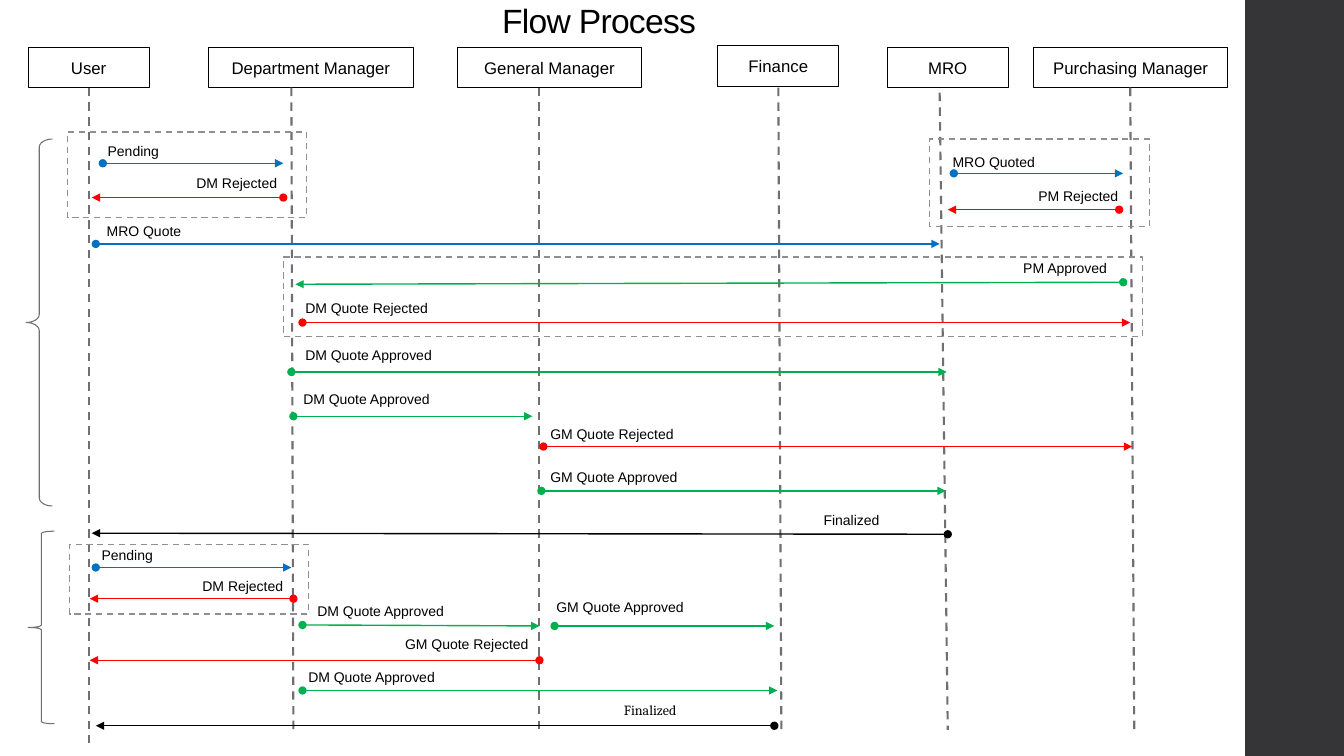
from lxml import etree
from pptx import Presentation
from pptx.dml.color import RGBColor
from pptx.enum.dml import MSO_LINE
from pptx.enum.shapes import MSO_CONNECTOR, MSO_SHAPE
from pptx.enum.text import MSO_ANCHOR, MSO_AUTO_SIZE, PP_ALIGN
from pptx.oxml.ns import qn
from pptx.util import Inches, Pt

RECT, BRACE = MSO_SHAPE.RECTANGLE, MSO_SHAPE.LEFT_BRACE
STRAIGHT, DASH = MSO_CONNECTOR.STRAIGHT, MSO_LINE.DASH
LEFT, CENTER = PP_ALIGN.LEFT, PP_ALIGN.CENTER
MIDDLE, BOTTOM = MSO_ANCHOR.MIDDLE, MSO_ANCHOR.BOTTOM
NO_FIT, GROW = MSO_AUTO_SIZE.NONE, MSO_AUTO_SIZE.SHAPE_TO_FIT_TEXT

BLACK, WHITE, BAR = "000000", "FFFFFF", "353537"
BLUE, RED, GREEN = "0070C0", "FF0000", "00B050"
LIFELINE, FRAME = "6F6F74", "8E8E94"


def color(value):
    return RGBColor.from_string(value)


class FlowSlide:
    font = "Arial"

    def __init__(self, slide):
        self.slide = slide

    def set_text(self, frame, text, size, align=LEFT, font=None):
        frame.text = text
        paragraph = frame.paragraphs[0]
        paragraph.alignment = align
        run = paragraph.runs[0]
        run.font.name = font or self.font
        run.font.size = Pt(size)
        run.font.color.rgb = color(BLACK)
        return run

    def title(self, text, left, top, width, height):
        heading = self.slide.shapes.title
        heading.left, heading.top = Inches(left), Inches(top)
        heading.width, heading.height = Inches(width), Inches(height)
        frame = heading.text_frame
        frame.auto_size, frame.word_wrap = NO_FIT, False
        frame.vertical_anchor = BOTTOM
        run = self.set_text(frame, text, 24)
        run._r.get_or_add_rPr().set("spc", "-50")
        frame.paragraphs[0].line_spacing = 0.9

    def shape(self, kind, left, top, width, height, fill=None, line=None, weight=0.75):
        shape = self.slide.shapes.add_shape(
            kind, Inches(left), Inches(top), Inches(width), Inches(height))
        shape.shadow.inherit = False
        if fill:
            shape.fill.solid()
            shape.fill.fore_color.rgb = color(fill)
        else:
            shape.fill.background()
        if line:
            shape.line.color.rgb = color(line)
            shape.line.width = Pt(weight)
        else:
            shape.line.fill.background()
        return shape

    def role(self, text, left, top, width, height):
        box = self.shape(RECT, left, top, width, height, WHITE, BLACK)
        box.text_frame.vertical_anchor = MIDDLE
        self.set_text(box.text_frame, text, 12, CENTER)

    def frame(self, left, top, width, height):
        self.shape(RECT, left, top, width, height, line=FRAME, weight=1.1).line.dash_style = DASH

    def line(self, x1, y1, x2, y2, hue, weight):
        line = self.slide.shapes.add_connector(
            STRAIGHT, Inches(x1), Inches(y1), Inches(x2), Inches(y2))
        line.line.color.rgb = color(hue)
        line.line.width = Pt(weight)
        etree.SubElement(line._element.spPr, qn("a:effectLst"))
        return line

    def lifeline(self, x1, y1, x2, y2):
        self.line(x1, y1, x2, y2, LIFELINE, 1.5).line.dash_style = DASH

    def arrow(self, x1, y1, x2, y2, hue):
        connector = self.line(x1, y1, x2, y2, hue, 1)
        outline = connector._element.spPr.find(qn("a:ln"))
        for end, kind in (("a:headEnd", "oval"), ("a:tailEnd", "triangle")):
            etree.SubElement(outline, qn(end)).set("type", kind)

    def label(self, text, left, top, width, font=None):
        box = self.slide.shapes.add_textbox(
            Inches(left), Inches(top), Inches(width), Inches(0.27))
        box.text_frame.word_wrap = False
        box.text_frame.auto_size = GROW
        self.set_text(box.text_frame, text, 10, font=font)


# Role: name, box (left, top, width, height), lifeline (x1, y1, x2, y2)
ROLES = [
    ("User", (0.28, 0.47, 1.2, 0.4), (0.88, 0.87, 0.88, 7.37)),
    ("Department Manager", (2.07, 0.47, 2.03, 0.4), (2.89, 0.87, 2.91, 7.27)),
    ("General Manager", (4.54, 0.47, 1.82, 0.4), (5.35, 0.87, 5.35, 7.29)),
    ("Finance", (7.12, 0.45, 1.2, 0.41), (7.72, 0.87, 7.75, 7.29)),
    ("MRO", (8.8, 0.47, 1.2, 0.4), (9.32, 0.92, 9.4, 7.24)),
    ("Purchasing Manager", (10.25, 0.47, 1.93, 0.4), (11.21, 0.87, 11.25, 7.29)),
]

# Message: text, label (left, top, width), arrow (x1, y1, x2, y2), colour
MESSAGES = [
    ("Pending", (0.97, 1.36, 0.74), (1.02, 1.62, 2.81, 1.62), BLUE),
    ("DM Rejected", (1.85, 1.68, 1.03), (2.81, 1.96, 0.91, 1.96), RED),
    ("MRO Quoted", (9.35, 1.47, 1.05), (9.46, 1.72, 11.14, 1.72), BLUE),
    ("PM Rejected", (10.2, 1.81, 1.02), (11.1, 2.08, 9.4, 2.08), RED),
    ("MRO Quote", (0.96, 2.16, 1.02), (0.95, 2.42, 9.32, 2.42), BLUE),
    ("PM Approved", (10.05, 2.53, 1.05), (11.14, 2.8, 2.93, 2.82), GREEN),
    ("DM Quote Rejected", (2.93, 2.92, 1.46), (3, 3.2, 11.21, 3.2), RED),
    ("DM Quote Approved", (2.93, 3.39, 1.47), (2.89, 3.69, 9.39, 3.69), GREEN),
    ("DM Quote Approved", (2.91, 3.83, 1.47), (2.91, 4.13, 5.28, 4.13), GREEN),
    ("GM Quote Rejected", (5.36, 4.17, 1.46), (5.39, 4.43, 11.23, 4.43), RED),
    ("GM Quote Approved", (5.36, 4.6, 1.53), (5.37, 4.87, 9.38, 4.87), GREEN),
    ("Finalized", (8.07, 5.03, 0.76), (9.4, 5.3, 0.91, 5.29), BLACK),
    ("Pending", (0.91, 5.37, 0.77), (0.95, 5.63, 2.89, 5.63), BLUE),
    ("DM Rejected", (1.91, 5.68, 1.03), (2.91, 5.94, 0.89, 5.94), RED),
    ("DM Quote Approved", (3.05, 5.93, 1.47), (3, 6.2, 5.35, 6.21), GREEN),
    ("GM Quote Approved", (5.42, 5.89, 1.53), (5.5, 6.21, 7.68, 6.21), GREEN),
    ("GM Quote Rejected", (3.92, 6.26, 1.46), (5.35, 6.55, 0.89, 6.55), RED),
    ("DM Quote Approved", (2.96, 6.58, 1.47), (3, 6.85, 7.71, 6.85), GREEN),
    ("Finalized", (6.09, 6.91, 0.81, "Cambria"), (7.68, 7.2, 0.95, 7.2), BLACK),
]

# Dashed frames around each request and its rejection
FRAMES = [
    (0.67, 1.31, 2.37, 0.85),
    (9.22, 1.38, 2.18, 0.87),
    (2.81, 2.55, 8.52, 0.79),
    (0.69, 5.4, 2.37, 0.69),
]


def main():
    deck = Presentation()
    deck.slide_width, deck.slide_height = Inches(13.33), Inches(7.5)
    flow = FlowSlide(deck.slides.add_slide(deck.slide_layouts[5]))

    # Side bar and title
    flow.shape(RECT, 12.35, 0, 0.98, 7.5, fill=BAR)
    flow.title("Flow Process", 4.88, -0.09, 2.15, 0.54)

    # Roles with their lifelines
    for name, box, lifeline in ROLES:
        flow.role(name, *box)
        flow.lifeline(*lifeline)

    # Messages
    for text, place, ends, hue in MESSAGES:
        flow.arrow(*ends, hue)
        flow.label(text, *place)

    # Frames and phase braces
    for area in FRAMES:
        flow.frame(*area)
    quote_phase = flow.shape(BRACE, 0.26, 1.38, 0.26, 3.64, line=LIFELINE)
    quote_phase.adjustments[0] = 0.31
    flow.shape(BRACE, 0.28, 5.27, 0.26, 1.91, line=LIFELINE)

    deck.save("out.pptx")


if __name__ == "__main__":
    main()
